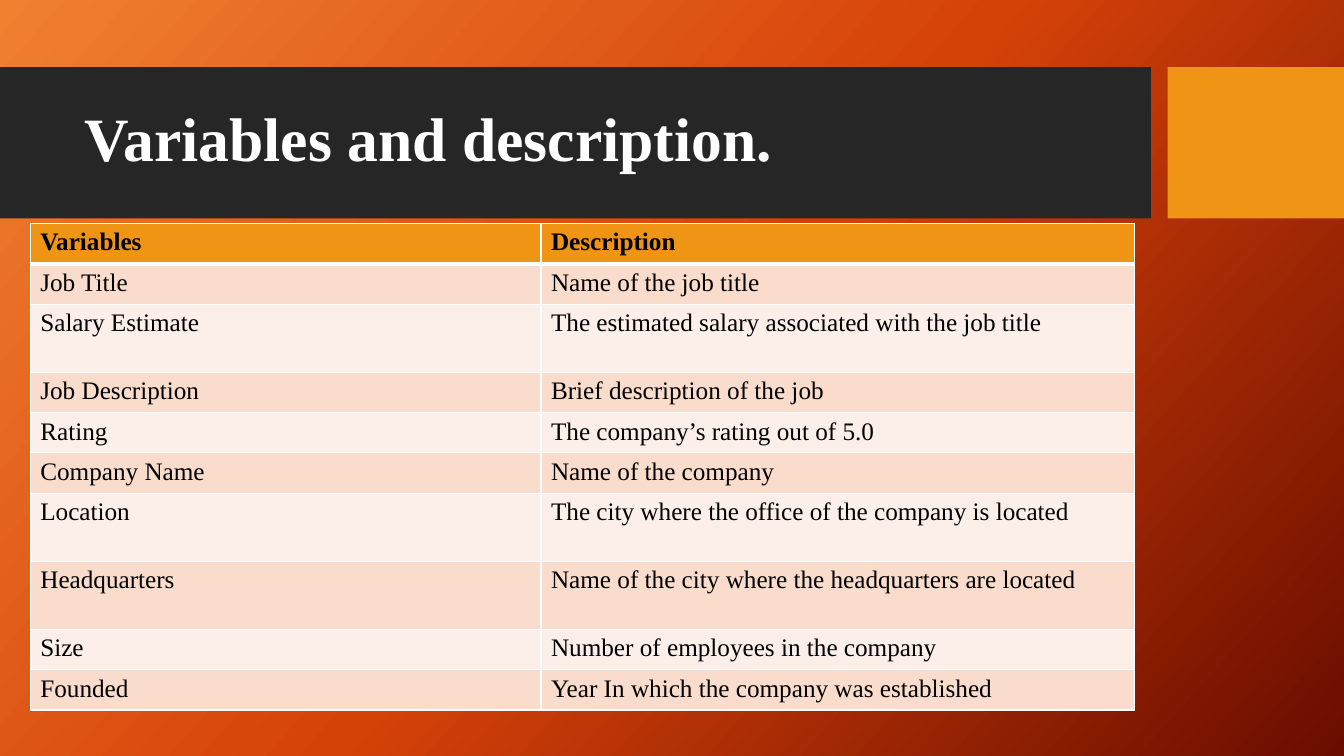
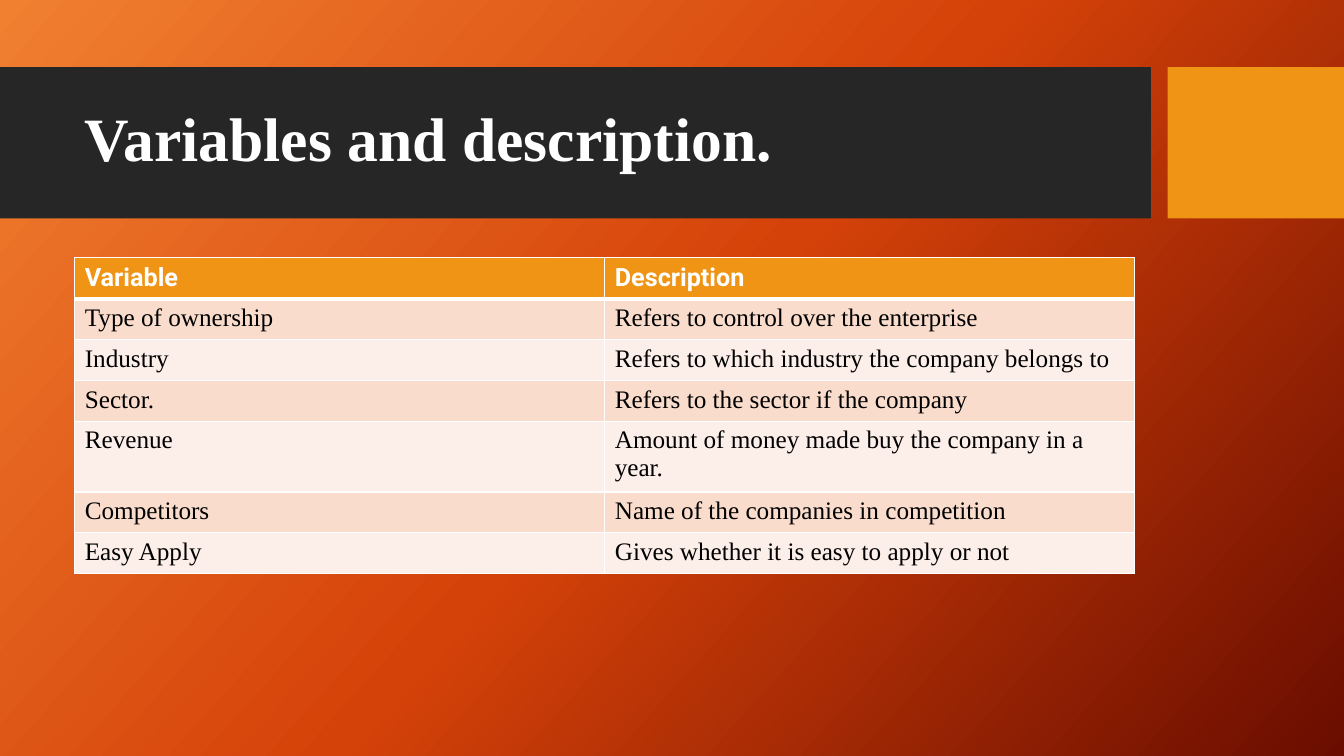
from lxml import etree
from pptx import Presentation
from pptx import util as u
from pptx.dml.color import RGBColor
from pptx.enum import shapes, text
from pptx.oxml import ns

COLORS = {"band": "262626", "accent": "F09415", "odd": "F9DCCC", "even": "FCEEE8",
          "white": "FFFFFF", "black": "000000"}
BACKDROP = {0: "F18031", 50: "D54209", 100: "6A0D00"}
SERIF = "Times New Roman"
TITLE = {"name": SERIF, "size": u.Pt(44), "bold": True}
BODY = {"name": SERIF, "size": u.Pt(18), "bold": False}
HEADING = {**BODY, "bold": True}
EDGES = ("L", "R", "T", "B")

JOB_VARIABLES = [
    ("Variables", "Description"),
    ("Job Title", "Name of the job title"),
    ("Salary Estimate", "The estimated salary associated with the job title"),
    ("Job Description", "Brief description of the job"),
    ("Rating", "The company’s rating out of 5.0"),
    ("Company Name", "Name of the company"),
    ("Location", "The city where the office of the company is located"),
    ("Headquarters", "Name of the city where the headquarters are located"),
    ("Size", "Number of employees in the company"),
    ("Founded", "Year In which the company was established"),
]
COMPANY_VARIABLES = [
    ("Variable", "Description"),
    ("Type of ownership", "Refers to control over the enterprise"),
    ("Industry", "Refers to which industry the company belongs to"),
    ("Sector.", "Refers to the sector if the company"),
    ("Revenue", "Amount of money made buy the company in a year."),
    ("Competitors", "Name of the companies in competition"),
    ("Easy Apply", "Gives whether it is easy to apply or not"),
]


class Deck:
    """Slides on a grid of 160 columns by 90 rows, with one shared style."""

    def __init__(self):
        self.prs = Presentation()
        self.prs.slide_width, self.prs.slide_height = u.Inches(13.33), u.Inches(7.5)
        self.slide = None
        self.backdrop()

    def cols(self, count):
        return round(self.prs.slide_width * count / 160)

    def rows(self, count):
        return round(self.prs.slide_height * count / 90)

    def box(self, left, top, width, height):
        return self.cols(left), self.rows(top), self.cols(width), self.rows(height)

    def backdrop(self):
        master = self.prs.slide_master
        fill = master.background.fill
        fill.gradient()
        fill.gradient_angle = 360 - 42
        stops = master.element.find(".//" + ns.qn("a:gsLst"))
        for old in list(stops):
            stops.remove(old)
        for share, color in BACKDROP.items():
            stop = etree.SubElement(stops, ns.qn("a:gs"), pos=str(share * 1000))
            etree.SubElement(stop, ns.qn("a:srgbClr"), val=color)

    def paint(self, fill, color):
        fill.solid()
        fill.fore_color.rgb = RGBColor.from_string(COLORS[color])

    def add_words(self, paragraph, words, style, color):
        run = paragraph.add_run()
        run.text = words
        for key, value in style.items():
            setattr(run.font, key, value)
        run.font.color.rgb = RGBColor.from_string(COLORS[color])

    def band(self, left, width, color):
        band = self.slide.shapes.add_shape(
            shapes.MSO_SHAPE.RECTANGLE, *self.box(left, 8, width, 18))
        band.shadow.inherit = False
        band.line.fill.background()
        self.paint(band.fill, color)

    def title(self, words):
        frame = self.slide.shapes.add_textbox(*self.box(8.9, 9.8, 126.1, 14.2)).text_frame
        frame.word_wrap = True
        frame.vertical_anchor = text.MSO_ANCHOR.MIDDLE
        frame.paragraphs[0].line_spacing = 0.9
        self.add_words(frame.paragraphs[0], words, TITLE, "white")

    def new_slide(self, words):
        self.slide = self.prs.slides.add_slide(self.prs.slide_layouts[6])
        self.band(0, 137, "band")
        self.band(139, 21, "accent")
        self.title(words)

    def border(self, cell, heavy_edge):
        properties = cell._tc.get_or_add_tcPr()
        for edge in EDGES:
            points = 3 if edge == heavy_edge else 1
            line = etree.SubElement(properties, ns.qn("a:ln" + edge), w=str(u.Pt(points)))
            fill = etree.SubElement(line, ns.qn("a:solidFill"))
            etree.SubElement(fill, ns.qn("a:srgbClr"), val=COLORS["white"])

    def table(self, left, top, widths, entries, height, tall, tall_rows, heading, heading_color):
        heights = [tall if entry[0] in tall_rows else height for entry in entries]
        table = self.slide.shapes.add_table(
            len(entries), len(widths), *self.box(left, top, sum(widths), sum(heights))).table
        for column, width in zip(table.columns, widths):
            column.width = self.cols(width)
        for index, (entry, row_height) in enumerate(zip(entries, heights)):
            table.rows[index].height = self.rows(row_height)
            fill = ("even", "odd")[index % 2] if index else "accent"
            style, color = (BODY, "black") if index else (heading, heading_color)
            for cell, words in zip(table.rows[index].cells, entry):
                self.border(cell, {0: "B", 1: "T"}.get(index))
                self.paint(cell.fill, fill)
                self.add_words(cell.text_frame.paragraphs[0], words, style, color)


def main():
    deck = Deck()
    deck.new_slide("Variables and description.")
    deck.table(3.6, 26.6, (60.8, 70.7), JOB_VARIABLES, 4.64, 8.1,
               ("Salary Estimate", "Location", "Headquarters"), HEADING, "black")
    deck.new_slide("Variables and description.")
    deck.table(8.9, 30.7, (63.1, 63.1), COMPANY_VARIABLES, 4.87, 7.86,
               ("Revenue",), {**HEADING, "name": "Roboto"}, "white")
    deck.prs.save("out.pptx")


if __name__ == "__main__":
    main()
